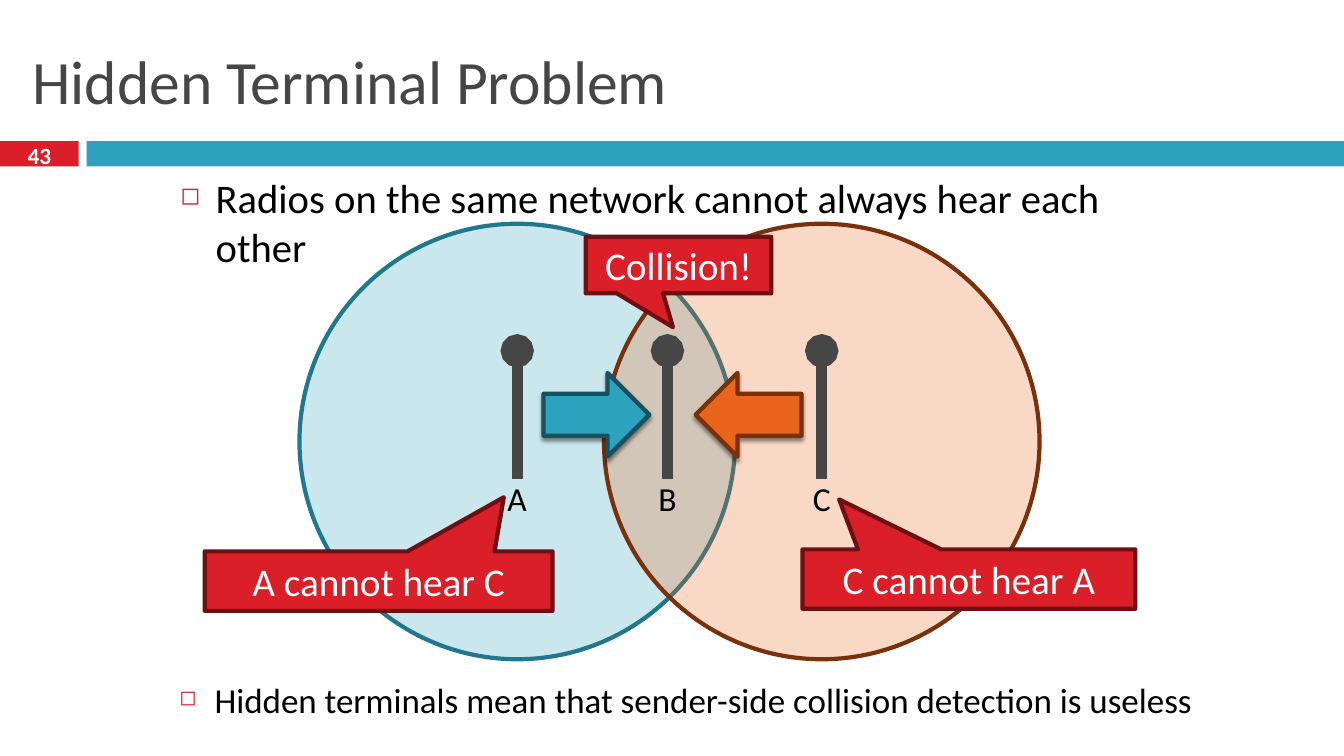
from pptx import Presentation
from pptx.util import Inches, Pt
from pptx.dml.color import RGBColor
from pptx.enum.shapes import MSO_SHAPE, MSO_CONNECTOR
from pptx.enum.text import PP_ALIGN, MSO_ANCHOR
from pptx.oxml.ns import qn
from lxml.etree import SubElement

HUES = {"red": "DA1F28", "wine": "6D1014", "teal": "2DA2BF", "sea": "21788D",
        "deep": "175160", "amber": "EB641B", "rust": "78310B",
        "gray": "464646", "white": "FFFFFF", "black": "000000"}
FONT = "Calibri"
WIDE, HIGH = 13.33, 7.5
TITLE = "Hidden Terminal Problem"
PAGE = "43"
BARS = [(0, 0.78, "red"), (0.86, WIDE - 0.86, "teal")]
NODES = {"A": 5.13, "B": 6.62, "C": 8.15}
RANGES = [("A", "teal", "sea"), ("C", "amber", "rust")]
SENDS = [(MSO_SHAPE.RIGHT_ARROW, 5.92, "teal", "deep"),
         (MSO_SHAPE.LEFT_ARROW, 7.43, "amber", "rust")]
CALLS = [("Collision!", (5.81, 2.35, 1.84, 0.56), (-0.03, 1.1)),
         ("A cannot hear C", (2.03, 5.47, 3.45, 0.59), (0.36, -1.41)),
         ("C cannot hear A", (7.96, 5.45, 3.3, 0.59), (-0.39, -1.34))]
POINTS = [("Radios on the same network cannot always hear each other",
           1.69, 1.67, 29, 0.2),
          ("Hidden terminals mean that sender-side collision detection is useless",
           1.68, 6.68, 25, 0.02)]
REACH, MAST, FOOT = 4.32, 3.48, 4.75
RINGTOP, SENDY = 2.22, 4.12


def hue(name):
    return RGBColor.from_string(HUES[name])


def inch(*sizes):
    return [Inches(size) for size in sizes]


def write(shape, text, size, color, align=PP_ALIGN.CENTER,
          anchor=MSO_ANCHOR.MIDDLE, bold=False, wrap=True):
    frame = shape.text_frame
    frame.word_wrap = wrap
    frame.vertical_anchor = anchor
    para = frame.paragraphs[0]
    para.alignment = align
    run = para.add_run()
    run.text = text
    run.font.size, run.font.name, run.font.bold = Pt(size), FONT, bold
    run.font.color.rgb = hue(color)
    return para


def draw(kind, box, fill, edge=None, alpha=None):
    shape = slide.shapes.add_shape(kind, *inch(*box))
    shape.shadow.inherit = False
    shape.fill.solid()
    shape.fill.fore_color.rgb = hue(fill)
    if alpha:
        tint = shape.fill._xPr.find(".//" + qn("a:srgbClr"))
        SubElement(tint, qn("a:alpha"), val=str(alpha * 1000))
    if edge:
        shape.line.color.rgb = hue(edge)
        shape.line.width = Pt(3)
    else:
        shape.line.fill.background()
    return shape


def shade(shape):
    glow = SubElement(shape._element.spPr.find(qn("a:effectLst")),
                      qn("a:outerShdw"), blurRad=str(Pt(3)),
                      dist=str(Pt(2.4)), dir="5400000", rotWithShape="0")
    tint = SubElement(glow, qn("a:srgbClr"), val=HUES["black"])
    SubElement(tint, qn("a:alpha"), val="45000")


def bullet(para):
    props = para._p.get_or_add_pPr()
    props.set("marL", str(Inches(0.35)))
    props.set("indent", str(-Inches(0.35)))
    tint = SubElement(props, qn("a:buClr"))
    SubElement(tint, qn("a:srgbClr"), val=HUES["red"])
    SubElement(props, qn("a:buSzPct"), val="60000")
    SubElement(props, qn("a:buChar"), char="\u25fb")


deck = Presentation()
deck.slide_width, deck.slide_height = inch(WIDE, HIGH)
slide = deck.slides.add_slide(deck.slide_layouts[5])

for left, width, color in BARS:
    draw(MSO_SHAPE.RECTANGLE, (left, 1.4, width, 0.25), color)
title = slide.shapes.title
title.left, title.top, title.width, title.height = inch(0.22, 0.25, 12.89, 1.08)
write(title, TITLE, 44, "gray", PP_ALIGN.LEFT)
page = slide.shapes.add_textbox(*inch(0, 1.37, 0.78, 0.33))
write(page, PAGE, 16.6, "white", bold=True)

for name, fill, edge in RANGES:
    ring = (NODES[name] - REACH / 2, RINGTOP, REACH, REACH)
    draw(MSO_SHAPE.OVAL, ring, fill, edge, 25)

for name, mid in NODES.items():
    mast = slide.shapes.add_connector(MSO_CONNECTOR.STRAIGHT,
                                      *inch(mid, MAST, mid, FOOT))
    mast.line.color.rgb = hue("gray")
    mast.line.width = Pt(8)
    SubElement(mast.line._get_or_add_ln(), qn("a:headEnd"), type="oval")
    SubElement(mast._element.spPr, qn("a:effectLst"))
    label = slide.shapes.add_textbox(*inch(mid - 0.2, 4.69, 0.4, 0.5))
    write(label, name, 24, "black", anchor=MSO_ANCHOR.TOP, wrap=False)

for kind, mid, fill, edge in SENDS:
    shade(draw(kind, (mid - 0.53, SENDY - 0.42, 1.05, 0.83), fill, edge))

for text, box, tip in CALLS:
    call = draw(MSO_SHAPE.RECTANGULAR_CALLOUT, box, "red", "wine")
    call.adjustments[0], call.adjustments[1] = tip
    write(call, text, 28, "white")

for text, left, top, size, inset in POINTS:
    point = slide.shapes.add_textbox(*inch(left, top, 10.29, 0.66))
    point.text_frame.margin_right = Inches(inset)
    bullet(write(point, text, size, "black", PP_ALIGN.LEFT, MSO_ANCHOR.TOP))

deck.save("out.pptx")
